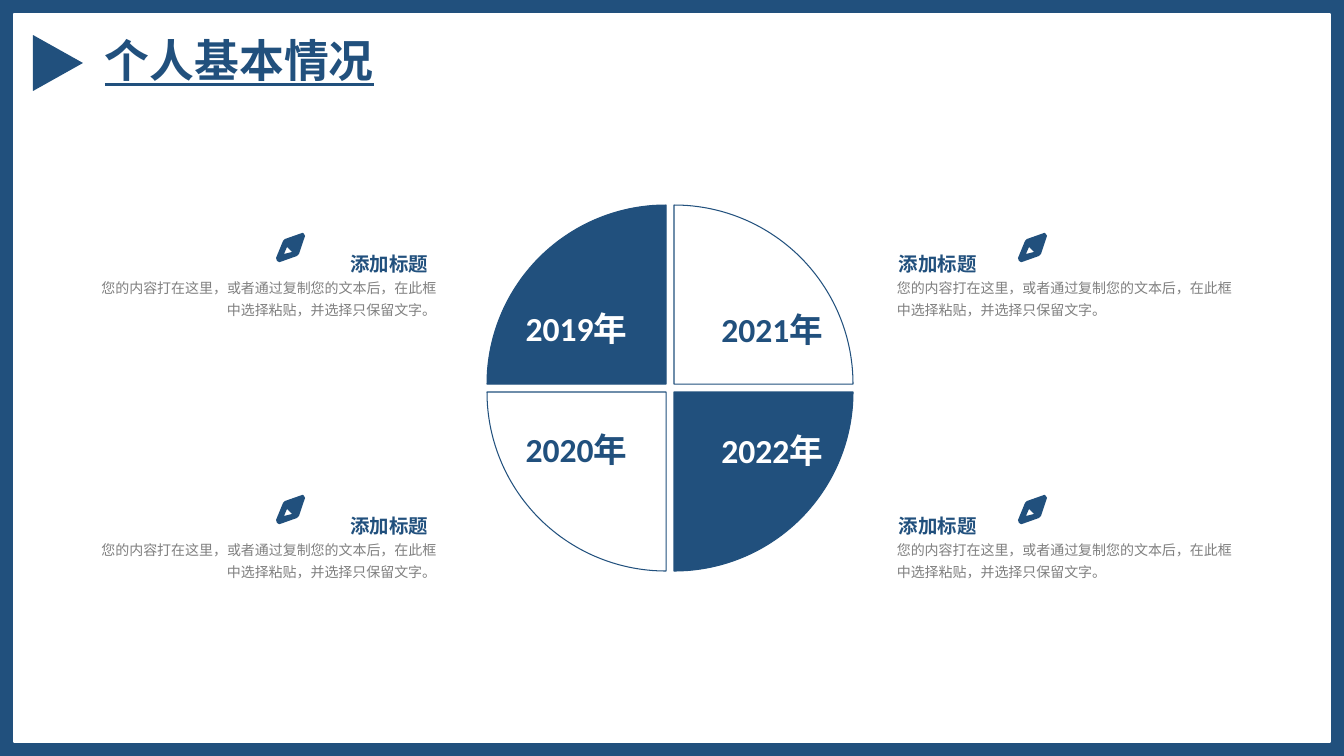
from math import cos, pi, sin

from pptx import Presentation
from pptx.dml.color import RGBColor
from pptx.enum.shapes import MSO_SHAPE
from pptx.enum.text import MSO_AUTO_SIZE, PP_ALIGN
from pptx.util import Pt

PX = 914400 / 100.8  # EMU in one px

THEME = {
    "navy": RGBColor(0x21, 0x50, 0x7D),
    "white": RGBColor(0xFF, 0xFF, 0xFF),
    "grey": RGBColor(0x80, 0x80, 0x80),
    "font": "Calibri",
    "title": Pt(32),
    "year": Pt(24),
    "heading": Pt(24),
    "body": Pt(10),
}

deck = Presentation()
deck.slide_width, deck.slide_height = round(1344 * PX), round(756 * PX)
slide = deck.slides.add_slide(deck.slide_layouts[6])
shapes = slide.shapes


def paint(shape, fill=None, line=None, width=0.75):
    shape.shadow.inherit = False
    for part, colour in ((shape.fill, fill), (shape.line.fill, line)):
        if colour is None:
            part.background()
        else:
            part.solid()
            part.fore_color.rgb = THEME[colour]
    if line:
        shape.line.width = Pt(width)


def add_text(box, words, size, colour, align, spacing=None, **extra):
    frame = shapes.add_textbox(*[round(v * PX) for v in box]).text_frame
    frame.word_wrap = True
    frame.auto_size = MSO_AUTO_SIZE.SHAPE_TO_FIT_TEXT
    paragraph = frame.paragraphs[0]
    paragraph.alignment = align
    if spacing:
        paragraph.line_spacing = spacing
    run = paragraph.add_run()
    run.text = words
    formats = {"name": THEME["font"], "size": THEME[size], **extra}
    for attribute, value in formats.items():
        setattr(run.font, attribute, value)
    run.font.color.rgb = THEME[colour]
    return run


# Navy frame around a white page
for box, fill, line in [((0, 0, 1344, 756), "navy", None),
                        ((14, 14, 1316, 728), "white", "white")]:
    page = shapes.add_shape(MSO_SHAPE.RECTANGLE, *[round(v * PX) for v in box])
    paint(page, fill, line, 1)

# Title with its pointer
add_text((95, 28, 378, 65), "个人基本情况", "title", "navy", PP_ALIGN.JUSTIFY,
         bold=True, underline=True)
pointer = shapes.add_shape(MSO_SHAPE.ISOSCELES_TRIANGLE,
                           *[round(v * PX) for v in (30, 38, 56, 50)])
pointer.rotation = 90
paint(pointer, "navy")

# Four quarters of the circle: corner, outward direction, fill
RADIUS, ARC_STEPS = 179, 60
QUARTERS = [((666, 384), (-1, -1), "navy"), ((674, 384), (1, -1), None),
            ((674, 392), (1, 1), "navy"), ((666, 392), (-1, 1), None)]
for (corner_x, corner_y), (dir_x, dir_y), fill in QUARTERS:
    angles = [pi / 2 * step / ARC_STEPS for step in range(ARC_STEPS + 1)]
    arc = [((corner_x + dir_x * RADIUS * cos(a)) * PX,
            (corner_y + dir_y * RADIUS * sin(a)) * PX) for a in angles]
    outline = shapes.build_freeform(corner_x * PX, corner_y * PX)
    outline.add_line_segments(arc, close=True)
    paint(outline.convert_to_shape(), fill, "navy")

# Years on the quarters
YEARS = [("2019年", 498, 303, "white", PP_ALIGN.CENTER),
         ("2021年", 676, 304, "navy", PP_ALIGN.RIGHT),
         ("2020年", 498, 424, "navy", PP_ALIGN.CENTER),
         ("2022年", 676, 425, "white", PP_ALIGN.RIGHT)]
for year, left, top, colour, align in YEARS:
    add_text((left, top, 157, 50), year, "year", colour, align, bold=True)

# Notes beside the circle, each with a compass
BODY = "您的内容打在这里，或者通过复制您的文本后，在此框中选择粘贴，并选择只保留文字。"
COMPASS = [
    [(26, 1), (9, 7), (7, 9), (0, 26), (1, 29), (3, 30), (4, 30),
     (21, 24), (23, 22), (29, 4), (28, 2), (27, 1)],
    [(8, 22), (11, 15), (16, 20)],
]
SIDES = [(281, 82, 276, PP_ALIGN.RIGHT), (889, 887, 1018, PP_ALIGN.LEFT)]
for top in (232, 494):
    for heading_left, body_left, compass_left, align in SIDES:
        heading = add_text((heading_left, top, 157, 37), "添加标题",
                           "heading", "navy", align, bold=True)
        heading._r.get_or_add_rPr().set("baseline", "-3000")
        add_text((body_left, top + 38, 364, 52), BODY, "body", "grey", align, 1.3)

        contours = [[((compass_left + x) * PX, (top + y) * PX) for x, y in contour]
                    for contour in COMPASS]
        compass = shapes.build_freeform(*contours[0][0])
        compass.add_line_segments(contours[0][1:], close=True)
        compass.move_to(*contours[1][0])
        compass.add_line_segments(contours[1][1:], close=True)
        paint(compass.convert_to_shape(), "navy")

deck.save("out.pptx")
